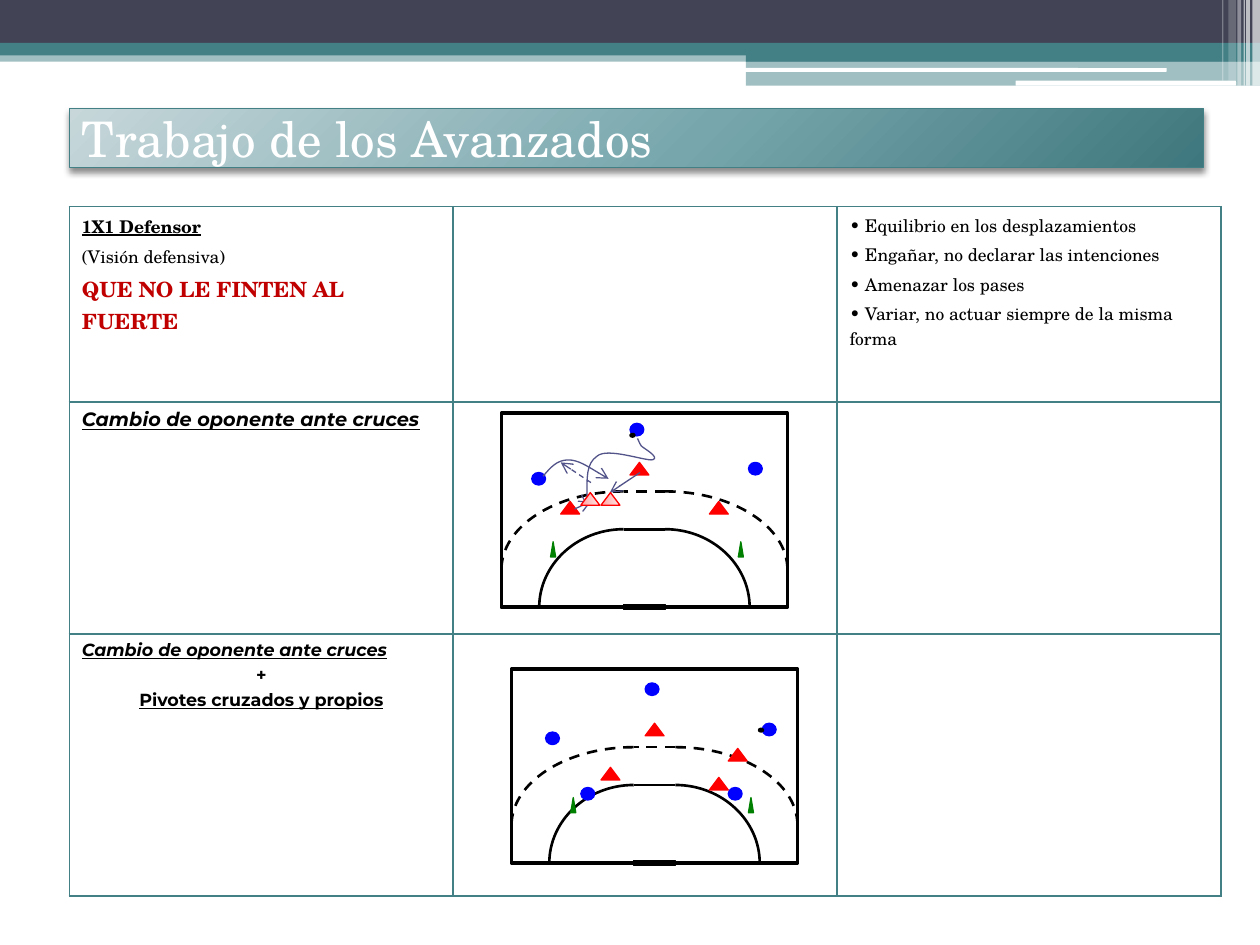
from typing import NamedTuple, Optional

from lxml.etree import SubElement
from pptx import Presentation
from pptx.dml.color import RGBColor
from pptx.enum.dml import MSO_LINE_DASH_STYLE as Dash
from pptx.enum.shapes import MSO_CONNECTOR as Link, MSO_SHAPE as Geo
from pptx.enum.text import MSO_ANCHOR as Anchor, PP_ALIGN as Align
from pptx.oxml import parse_xml
from pptx.oxml.ns import nsdecls, qn
from pptx.util import Inches, Pt

TEAL = RGBColor(0x43, 0x80, 0x86)
SLATE = RGBColor(0x42, 0x44, 0x56)
WHITE = RGBColor(0xFF, 0xFF, 0xFF)
BLACK = RGBColor(0, 0, 0)
CRIMSON = RGBColor(0xC0, 0, 0)
BLUE = RGBColor(0, 0, 0xFF)
RED = RGBColor(0xFF, 0, 0)
GREEN = RGBColor(0, 0x80, 0)
INDIGO = RGBColor(0x53, 0x54, 0x8A)
PINKS = [(0, "FFA0A0"), (50, "FFC5C5"), (100, "FFE3E3")]
TEALS = [(0, "C7D7DA"), (55, "77A7AD"), (100, "3E777D")]
SERIF, SANS = "TeX Gyre Schola", "Montserrat"


class Band(NamedTuple):
    left: float
    top: float
    width: float
    height: float
    color: RGBColor
    opacity: int = 100
    geometry: Geo = Geo.RECTANGLE


class Marker(NamedTuple):
    geometry: Geo
    width: float
    height: float
    color: RGBColor


class Note(NamedTuple):
    text: str
    size: int = 10
    font: str = SERIF
    color: RGBColor = BLACK
    bold: bool = False
    italic: bool = False
    underline: bool = False
    align: Optional[Align] = None
    bullet: bool = False


class Drill(NamedTuple):
    left: float
    top: float
    pieces: list


ATTACKER = Marker(Geo.OVAL, 0.11, 0.1, BLUE)
DEFENDER = Marker(Geo.ISOSCELES_TRIANGLE, 0.15, 0.1, RED)
CONE = Marker(Geo.ISOSCELES_TRIANGLE, 0.04, 0.12, GREEN)
BALL = Marker(Geo.OVAL, 0.04, 0.03, BLACK)

BANDS = [
    Band(0, 0.4, 10, 0.09, TEAL, 50), Band(0, 0, 10, 0.34, SLATE),
    Band(0, 0.34, 10, 0.1, TEAL), Band(5.92, 0.39, 4.08, 0.1, TEAL),
    Band(5.92, 0.48, 4.08, 0.2, TEAL, 50),
    Band(5.91, 0.54, 3.35, 0.03, WHITE, 100, Geo.ROUNDED_RECTANGLE),
    Band(8.06, 0.64, 1.75, 0.04, WHITE, 100, Geo.ROUNDED_RECTANGLE),
    Band(9.94, 0, 0.06, 0.68, WHITE, 65), Band(9.89, 0, 0.03, 0.68, WHITE, 65),
    Band(9.87, 0, 0.01, 0.68, WHITE, 60), Band(9.82, 0, 0.03, 0.68, WHITE, 40),
    Band(9.75, 0, 0.06, 0.64, WHITE, 20), Band(9.7, 0, 0.01, 0.64, WHITE, 30),
]
SWITCH = Note("Cambio de oponente ante cruces", 11, SANS, BLACK, True, True, True)
GOALS = ["Equilibrio en los desplazamientos", "Engañar, no declarar las intenciones",
         "Amenazar los pases", "Variar, no actuar siempre de la misma forma"]
CELLS = {
    (0, 0): [Note("1X1 Defensor", bold=True, underline=True), Note("(Visión defensiva)"),
             Note("QUE NO LE FINTEN AL FUERTE", 12, color=CRIMSON, bold=True)],
    (0, 2): [Note(f" {goal}", bullet=True) for goal in GOALS],
    (1, 0): [SWITCH],
    (2, 0): [SWITCH._replace(size=10),
             Note("+", font=SANS, bold=True, align=Align.CENTER),
             Note("Pivotes cruzados y propios", font=SANS, bold=True, underline=True,
                  align=Align.CENTER)],
}
CROSSING = Drill(3.98, 3.28, [
    (ATTACKER, 5, 3.36), (DEFENDER, 5, 3.67), (ATTACKER, 4.22, 3.75), (DEFENDER, 4.45, 3.98),
    (ATTACKER, 5.94, 3.67), (DEFENDER, 5.63, 3.98), (CONE, 4.37, 4.3), (CONE, 5.86, 4.3),
    (BALL, 5, 3.44)])
PIVOTS = Drill(4.06, 5.31, [
    (ATTACKER, 5.12, 5.42), (DEFENDER, 5.12, 5.74), (ATTACKER, 4.33, 5.81),
    (DEFENDER, 4.77, 6.09), (ATTACKER, 6.05, 5.74), (DEFENDER, 5.78, 5.94),
    (CONE, 4.53, 6.33), (CONE, 5.94, 6.33), (BALL, 6.02, 5.78), (ATTACKER, 4.61, 6.25),
    (ATTACKER, 5.78, 6.25), (DEFENDER, 5.63, 6.17)])
RUNS = [
    [(5.06, 3.48), (5.07, 3.5), (5.07, 3.51), (5.09, 3.54), (5.11, 3.56), (5.24, 3.63),
     (5.18, 3.65), (5.12, 3.66), (4.82, 3.55), (4.74, 3.62), (4.65, 3.68), (4.66, 3.85),
     (4.66, 4.02)],
    [(4.31, 3.78), (4.37, 3.71), (4.42, 3.65), (4.51, 3.65), (4.59, 3.65), (4.71, 3.73),
     (4.83, 3.8)],
]
MOVES = [((5.08, 3.75), (4.84, 3.91), None), ((4.69, 3.83), (4.45, 3.67), Dash.DASH),
         ((4.56, 4.04), (4.69, 3.98), None)]
COURT_WIDTH, COURT_HEIGHT = 2.27, 1.54


def add_solid(shapes, geometry: Geo, box: tuple, fill: RGBColor, line=None, weight=0.75):
    shape = shapes.add_shape(geometry, *map(Inches, box))
    shape.shadow.inherit = False
    shape.fill.solid()
    shape.fill.fore_color.rgb = fill
    if line is None:
        shape.line.fill.background()
    else:
        shape.line.color.rgb = line
        shape.line.width = Pt(weight)
    return shape


def set_gradient(shape, stops: list, direction: str) -> None:
    colors = "".join(f'<a:gs pos="{at * 1000}"><a:srgbClr val="{color}"/></a:gs>'
                     for at, color in stops)
    gradient = parse_xml(f'<a:gradFill {nsdecls("a")} rotWithShape="1"><a:gsLst>{colors}'
                         f'</a:gsLst>{direction}</a:gradFill>')
    properties = shape._element.spPr
    properties.replace(properties.find(qn("a:solidFill")), gradient)


def style_stroke(stroke, color: RGBColor, weight: float, dash=None, arrow=False) -> None:
    stroke.line.color.rgb = color
    stroke.line.width = Pt(weight)
    if dash:
        stroke.line.dash_style = dash
    properties = stroke._element.spPr
    if arrow:
        SubElement(properties.find(qn("a:ln")), qn("a:tailEnd"), type="arrow")
    if properties.find(qn("a:effectLst")) is None:
        SubElement(properties, qn("a:effectLst"))


def add_line(shapes, start: tuple, end: tuple, *style) -> None:
    line = shapes.add_connector(Link.STRAIGHT, *map(Inches, (*start, *end)))
    style_stroke(line, *style)


def add_curve(shapes, knots: list, *style) -> None:
    points = [(Inches(x), Inches(y)) for x, y in knots]
    builder = shapes.build_freeform(*points[0])
    builder.add_line_segments(points[1:], close=False)
    curve = builder.convert_to_shape()
    outline = next(curve._element.iter(qn("a:path")))
    segments = outline.findall(qn("a:lnTo"))
    for i in range(0, len(segments), 3):
        bezier = SubElement(outline, qn("a:cubicBezTo"))
        for segment in segments[i:i + 3]:
            bezier.append(segment[0])
            outline.remove(segment)
    curve.fill.background()
    style_stroke(curve, *style)


def add_area(shapes, drill: Drill, top: float, reach: float, bow: float, dash=None) -> None:
    side = [(1.3, top), (1.3 + bow, top), (reach, top + 0.28), (reach, top + 0.62)]
    for mirrored in (False, True):
        knots = [(drill.left + (COURT_WIDTH - x if mirrored else x), drill.top + y)
                 for x, y in side]
        add_curve(shapes, knots, BLACK, 1.5, dash)
    y = drill.top + top
    add_line(shapes, (drill.left + 1.3, y), (drill.left + 0.97, y), BLACK, 1.5, dash)


def add_marker(shapes, marker: Marker, left: float, top: float):
    return add_solid(shapes, marker.geometry, (left, top, marker.width, marker.height),
                     marker.color, marker.color)


def add_drill(shapes, drill: Drill) -> None:
    court = shapes.add_group_shape().shapes
    add_solid(court, Geo.RECTANGLE, (drill.left, drill.top, COURT_WIDTH, COURT_HEIGHT),
              WHITE, BLACK, 2)
    add_area(court, drill, 0.92, 1.97, 0.37)
    add_solid(court, Geo.RECTANGLE, (drill.left + 0.97, drill.top + 1.52, 0.33, 0.04),
              BLACK, BLACK)
    add_area(court, drill, 0.62, 2.27, 0.54, Dash.DASH)
    for piece in drill.pieces:
        add_marker(shapes, *piece)


def write_notes(frame, notes: list) -> None:
    frame.text = "\n".join(note.text for note in notes)
    for i, (paragraph, note) in enumerate(zip(frame.paragraphs, notes)):
        if i:
            paragraph.space_before = Pt(2)
        if note.align is not None:
            paragraph.alignment = note.align
        if note.bullet:
            properties = paragraph._p.get_or_add_pPr()
            SubElement(properties, qn("a:buFont"), typeface=note.font)
            SubElement(properties, qn("a:buChar"), char="•")
        font = paragraph.runs[0].font
        font.name, font.size, font.color.rgb = note.font, Pt(note.size), note.color
        font.bold, font.italic, font.underline = note.bold, note.italic, note.underline


def add_plan(shapes) -> None:
    heights = (1.55, 1.84, 2.08)
    plan = shapes.add_table(3, 3, *map(Inches, (0.55, 1.64, 9.14, sum(heights)))).table
    plan.first_row = plan.horz_banding = False
    for column in plan.columns:
        column.width = Inches(9.14 / 3)
    for r, height in enumerate(heights):
        plan.rows[r].height = Inches(height)
        for c in range(3):
            cell = plan.cell(r, c)
            if (r, c) in CELLS:
                write_notes(cell.text_frame, CELLS[r, c])
            borders = cell._tc.get_or_add_tcPr()
            for edge in ("lnL", "lnR", "lnT", "lnB"):
                borders.append(parse_xml(
                    f'<a:{edge} {nsdecls("a")} w="12700"><a:solidFill>'
                    f'<a:srgbClr val="{TEAL}"/></a:solidFill></a:{edge}>'))
            cell.fill.background()


def add_title(shapes) -> None:
    title = add_solid(shapes, Geo.RECTANGLE, (0.55, 0.86, 9, 0.47), TEAL, TEAL)
    set_gradient(title, TEALS, '<a:path path="circle"><a:fillToRect l="-40000" t="-90000" '
                               'r="140000" b="190000"/></a:path>')
    shadow = SubElement(title._element.spPr.find(qn("a:effectLst")), qn("a:outerShdw"),
                        blurRad="50800", dist="25400", dir="5400000", rotWithShape="0")
    SubElement(SubElement(shadow, qn("a:srgbClr"), val="000000"), qn("a:alpha"), val="45000")
    title.text_frame.word_wrap = True
    title.text_frame.vertical_anchor = Anchor.MIDDLE
    write_notes(title.text_frame,
                [Note("Trabajo de los Avanzados", 28, color=WHITE, align=Align.LEFT)])


def main() -> None:
    """Build the handball training slide and save it."""
    deck = Presentation()
    deck.slide_width, deck.slide_height = Inches(10), Inches(7.5)
    shapes = deck.slides.add_slide(deck.slide_layouts[6]).shapes
    for band in BANDS:
        strip = add_solid(shapes, band.geometry, band[:4], band.color)
        if band.opacity < 100:
            color = strip._element.spPr.find(qn("a:solidFill"))[0]
            SubElement(color, qn("a:alpha"), val=str(band.opacity * 1000))
    add_title(shapes)
    add_plan(shapes)
    add_drill(shapes, CROSSING)
    for run in RUNS:
        add_curve(shapes, run, INDIGO, 0.75, None, True)
    for start, end, dash in MOVES:
        add_line(shapes, start, end, INDIGO, 0.75, dash, True)
    for left in (4.77, 4.61):
        set_gradient(add_marker(shapes, DEFENDER, left, 3.91), PINKS, '<a:lin ang="0"/>')
    add_drill(shapes, PIVOTS)
    deck.save("out.pptx")


if __name__ == "__main__":
    main()
